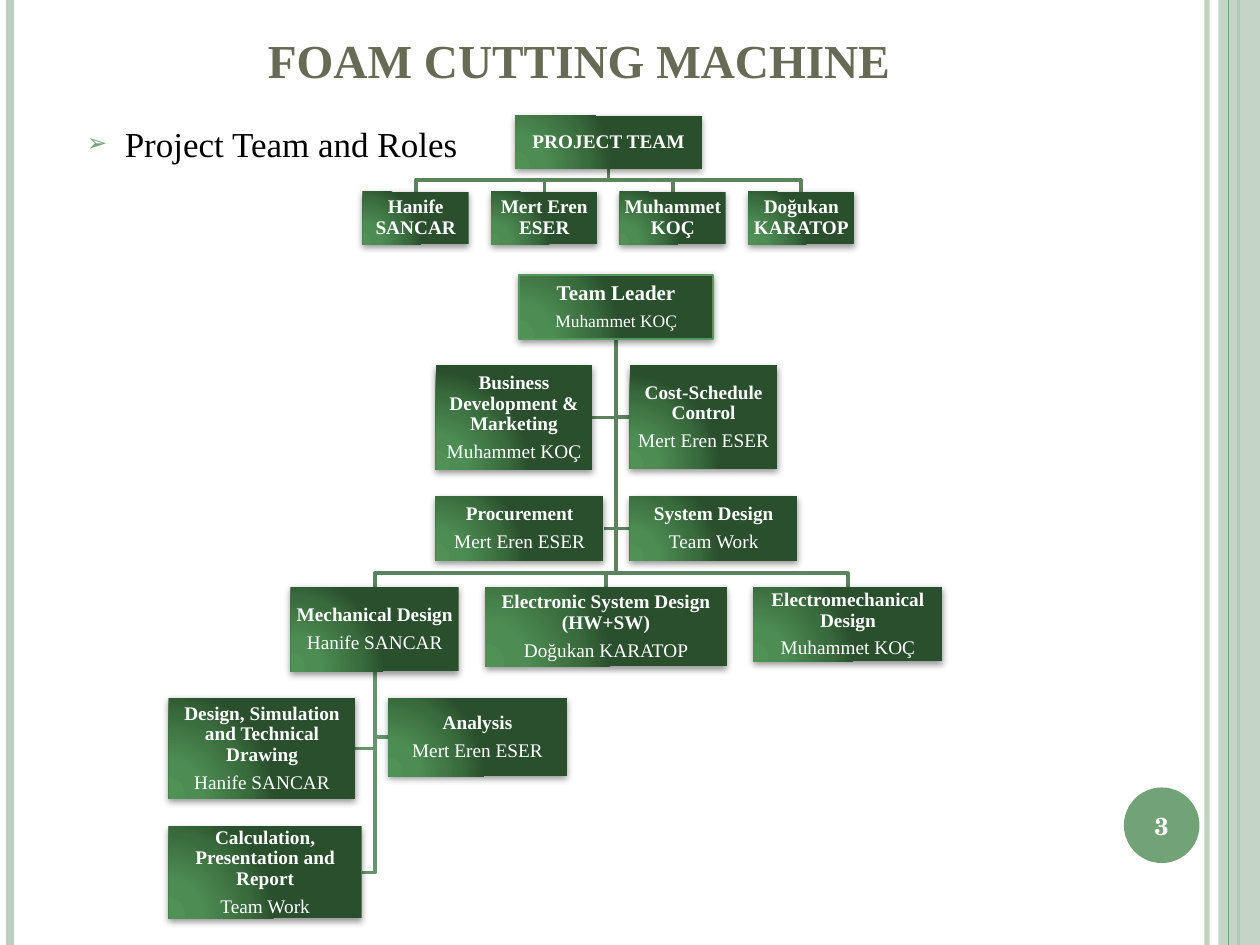
from dataclasses import dataclass

from lxml.etree import SubElement
from pptx import Presentation
from pptx.dml.color import RGBColor
from pptx.enum.shapes import MSO_CONNECTOR, MSO_SHAPE
from pptx.enum.text import MSO_ANCHOR, MSO_AUTO_SIZE, PP_ALIGN
from pptx.oxml.ns import qn
from pptx.util import Inches, Pt

COLORS = {
    "title": "676A55", "text": "000000", "white": "FFFFFF",
    "green": "72A376", "pale": "BCCEBD", "border": "57965C",
    "link": "5B835E", "sublink": "67946B", "shadow": "000000",
}
BOX_GRADIENT = [(0, "509256"), (30, "4D8D53"), (75, "396B3D"), (100, "2A4F2D")]
SERIF = "Times New Roman"


@dataclass
class Node:
    title: str
    role: str
    left: float
    top: float
    width: float
    height: float
    side: bool = False  # joined at its side instead of its top

    @property
    def center(self):
        return self.left + self.width / 2

    @property
    def middle(self):
        return self.top + self.height / 2

    @property
    def bottom(self):
        return self.top + self.height


TEAM = Node("PROJECT TEAM", "", 4.09, 0.92, 1.48, 0.42)
MEMBERS = [
    Node(name, "", TEAM.center + 1.02 * (i - 1.5) - 0.42, 1.52, 0.84, 0.42)
    for i, name in enumerate(["Hanife SANCAR", "Mert Eren ESER", "Muhammet KOÇ", "Doğukan KARATOP"])
]
LEADER = Node("Team Leader", "Muhammet KOÇ", 4.12, 2.18, 1.54, 0.51)
MECHANICAL = Node("Mechanical Design", "Hanife SANCAR", 2.31, 4.66, 1.33, 0.67)
UNITS = [
    Node("Business Development & Marketing", "Muhammet KOÇ", 3.46, 2.9, 1.24, 0.83, True),
    Node("Cost-Schedule Control", "Mert Eren ESER", 5, 2.9, 1.17, 0.82, True),
    Node("Procurement", "Mert Eren ESER", 3.46, 3.94, 1.33, 0.51, True),
    Node("System Design", "Team Work", 5, 3.94, 1.33, 0.51, True),
    MECHANICAL,
    Node("Electronic System Design (HW+SW)", "Doğukan KARATOP", 3.85, 4.66, 1.92, 0.63),
    Node("Electromechanical Design", "Muhammet KOÇ", 5.98, 4.66, 1.5, 0.59),
]
MECHANICAL_TASKS = [
    Node("Design, Simulation and Technical Drawing", "Hanife SANCAR", 1.34, 5.54, 1.48, 0.8, True),
    Node("Analysis", "Mert Eren ESER", 3.08, 5.54, 1.42, 0.62, True),
    Node("Calculation, Presentation and Report", "Team Work", 1.34, 6.56, 1.53, 0.73, True),
]


def rgb(name):
    return RGBColor.from_string(COLORS[name])


def child(parent, tag, **attributes):
    return SubElement(parent, qn(tag), {key: str(value) for key, value in attributes.items()})


def color_child(parent, color, alpha=100):
    node = child(parent, "a:srgbClr", val=color)
    if alpha < 100:
        child(node, "a:alpha", val=alpha * 1000)


def fade(shape, alpha):
    """Make the first colour of a shape partly transparent."""
    if alpha < 100:
        tint = next(shape._element.spPr.iter(qn("a:srgbClr")))
        child(tint, "a:alpha", val=alpha * 1000)


def add_text(para, text, size=11, color="white", bold=False, font=SERIF, align=PP_ALIGN.CENTER):
    para.alignment = align
    span = para.add_run()
    span.text = text
    span.font.size = Pt(size)
    span.font.name = font
    span.font.bold = bold
    span.font.color.rgb = rgb(color)


def place(shape, left, top, width, height):
    shape.left, shape.top = Inches(left), Inches(top)
    shape.width, shape.height = Inches(width), Inches(height)


def add_rule(page, x, color, width, alpha=100):
    """Full-height vertical line."""
    rule = page.shapes.add_connector(
        MSO_CONNECTOR.STRAIGHT, Inches(x), 0, Inches(x), Inches(7.5))
    rule.line.color.rgb = rgb(color)
    rule.line.width = Pt(width)
    fade(rule, alpha)
    child(rule._element.spPr, "a:effectLst")


def add_plain(page, kind, left, top, width, height, color, alpha=100):
    shape = page.shapes.add_shape(
        kind, Inches(left), Inches(top), Inches(width), Inches(height))
    shape.shadow.inherit = False
    shape.fill.solid()
    shape.fill.fore_color.rgb = rgb(color)
    fade(shape, alpha)
    shape.line.fill.background()
    return shape


def add_link(page, parent, node, color, gap):
    """Elbow line from the parent's bottom to the node's side or top."""
    points = [(parent.center, parent.bottom)]
    if node.side:
        edge = node.left if node.left > parent.center else node.left + node.width
        points += [(parent.center, node.middle), (edge, node.middle)]
    else:
        bar = node.top - gap
        points += [(parent.center, bar), (node.center, bar), (node.center, node.top)]
    start, *turns = [(Inches(x), Inches(y)) for x, y in points]
    builder = page.shapes.build_freeform(*start)
    builder.add_line_segments(turns, close=False)
    link = builder.convert_to_shape()
    link.shadow.inherit = False
    link.fill.background()
    link.line.color.rgb = rgb(color)
    link.line.width = Pt(2)


def add_box(page, node, title_size=11, role_size=11, border=None):
    box = page.shapes.add_shape(
        MSO_SHAPE.RECTANGLE, Inches(node.left), Inches(node.top),
        Inches(node.width), Inches(node.height))
    if border:
        box.line.color.rgb = rgb(border)
        box.line.width = Pt(1)
    else:
        box.line.fill.background()

    # Radial gradient, placed right after the geometry
    properties = box._element.spPr
    gradient = child(properties, "a:gradFill", rotWithShape=1)
    stops = child(gradient, "a:gsLst")
    for position, color in BOX_GRADIENT:
        color_child(child(stops, "a:gs", pos=position * 1000), color)
    circle = child(gradient, "a:path", path="circle")
    child(circle, "a:fillToRect", l=5000, t=100000, r=120000, b=10000)
    properties.insert(2, gradient)

    # Soft shadow below
    effects = child(properties, "a:effectLst")
    shadow = child(effects, "a:outerShdw", blurRad=Pt(4), dist=Pt(1.6),
                   dir=5400000, rotWithShape=0)
    color_child(shadow, COLORS["shadow"], 42)

    frame = box.text_frame
    frame.word_wrap = True
    frame.vertical_anchor = MSO_ANCHOR.MIDDLE
    frame.margin_left = frame.margin_right = Inches(0.01)
    frame.margin_top = frame.margin_bottom = Inches(0.01)
    add_text(frame.paragraphs[0], node.title, size=title_size, bold=True)
    if node.role:
        add_text(frame.add_paragraph(), node.role, size=role_size)
    for para in frame.paragraphs:
        para.line_spacing = 0.9
        para.space_after = Pt(4)


def add_tree(page, parent, nodes, color="link", gap=0.11):
    for node in nodes:
        add_link(page, parent, node, color, gap)


def add_frame(page):
    add_rule(page, 9.58, "pale", 3, 93)
    add_rule(page, 0.08, "pale", 4.5)
    add_rule(page, 9.83, "green", 1.5)
    add_plain(page, MSO_SHAPE.RECTANGLE, 9.67, 0, 0.33, 7.5, "pale", 87)
    add_rule(page, 9.75, "green", 0.75)
    badge = add_plain(page, MSO_SHAPE.OVAL, 8.92, 6.25, 0.6, 0.6, "green")
    badge.text_frame.vertical_anchor = MSO_ANCHOR.MIDDLE
    add_text(badge.text_frame.paragraphs[0], "3", size=14, bold=True, font="TeX Gyre Schola")


def fill_placeholders(page):
    title = page.shapes.title
    place(title, 0.51, 0, 8.17, 1.25)
    title.text_frame.auto_size = MSO_AUTO_SIZE.NONE
    title.text_frame.vertical_anchor = MSO_ANCHOR.BOTTOM
    title.text_frame.margin_bottom = Inches(0.55)
    add_text(title.text_frame.paragraphs[0], "FOAM CUTTING MACHINE",
             size=27, color="title", bold=True)

    body = page.placeholders[1]
    place(body, 0.59, 0.92, 3.23, 0.44)
    body.text_frame.auto_size = MSO_AUTO_SIZE.NONE
    body.text_frame.word_wrap = False
    para = body.text_frame.paragraphs[0]
    bullet = para._p.get_or_add_pPr()
    bullet.set("marL", str(Inches(0.3)))
    bullet.set("indent", str(-Inches(0.3)))
    color_child(child(bullet, "a:buClr"), COLORS["green"])
    child(bullet, "a:buSzPct", val=70000)
    child(bullet, "a:buChar", char="➢")
    para.space_before = Pt(0)
    add_text(para, "Project Team and Roles", size=20, color="text", align=PP_ALIGN.LEFT)


def main():
    deck = Presentation()
    deck.slide_width, deck.slide_height = Inches(10), Inches(7.5)
    page = deck.slides.add_slide(deck.slide_layouts[1])
    add_frame(page)
    fill_placeholders(page)

    # Roles chart: links lie behind the boxes
    add_tree(page, LEADER, UNITS)
    add_tree(page, MECHANICAL, MECHANICAL_TASKS, color="sublink")
    add_box(page, LEADER, title_size=12, role_size=10, border="border")
    for node in UNITS + MECHANICAL_TASKS:
        add_box(page, node)

    # Team chart
    add_tree(page, TEAM, MEMBERS, gap=0.09)
    for node in [TEAM] + MEMBERS:
        add_box(page, node)
    deck.save("out.pptx")


if __name__ == "__main__":
    main()
